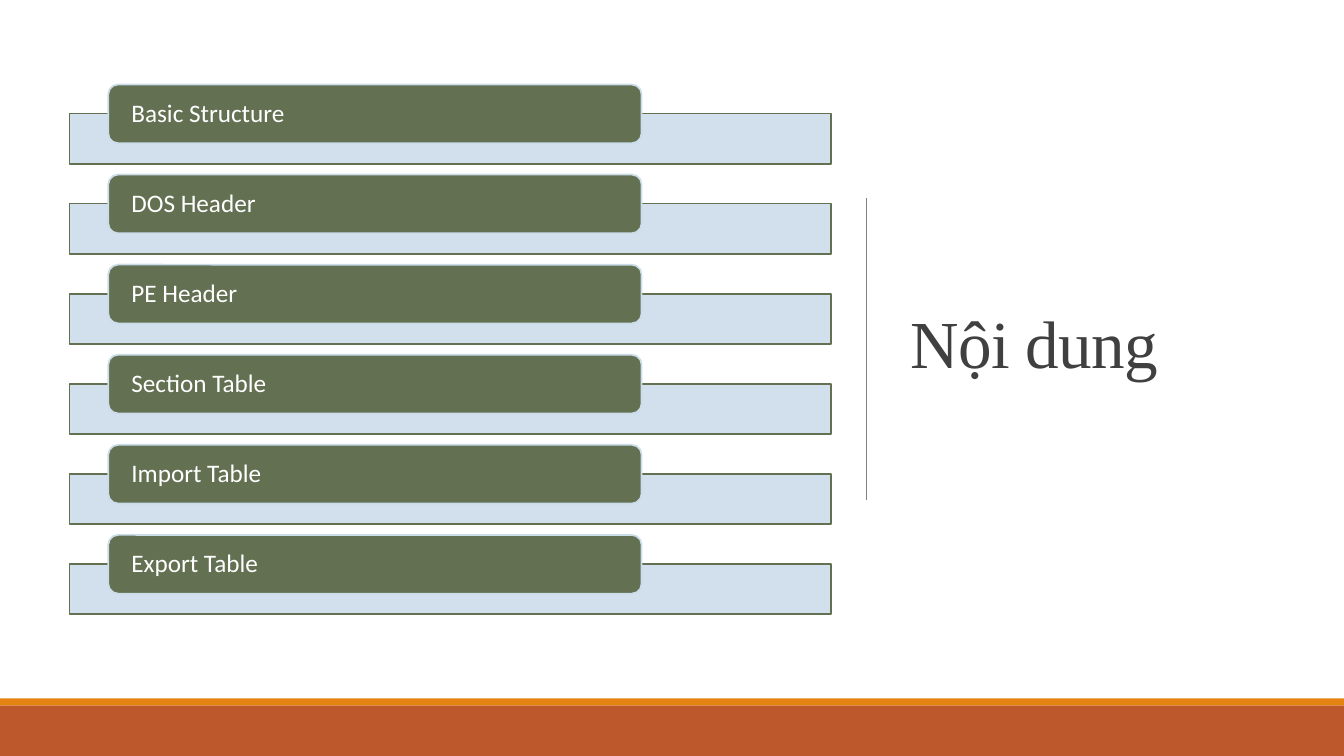
from dataclasses import dataclass

from lxml.etree import SubElement
from pptx import Presentation
from pptx.dml.color import RGBColor
from pptx.enum.shapes import MSO_CONNECTOR as Connector, MSO_SHAPE as Preset
from pptx.enum.text import MSO_ANCHOR as Anchor, PP_ALIGN as Align
from pptx.oxml.ns import qn
from pptx.util import Cm, Pt

TITLE = "Nội dung"
TOPICS = ["Basic Structure", "DOS Header", "PE Header",
          "Section Table", "Import Table", "Export Table"]


@dataclass(frozen=True)
class Theme:
    """Colours, fonts and type sizes of the slide."""
    orange: str = "E48312"
    rust: str = "BD582C"
    olive: str = "637052"
    pale_blue: str = "CCDDEA"
    grey: str = "808080"
    ink: str = "404040"
    white: str = "FFFFFF"
    title_font: str = "Times New Roman"
    topic_font: str = "Calibri"
    title_size: int = 48
    topic_size: int = 18
    outline: float = 1.25
    hairline: float = 0.5


THEME = Theme()

# Lengths in centimetres: left, top, width, height
SLIDE_WIDTH, SLIDE_HEIGHT = 33.87, 19.05
FOOTER_BANDS = [(17.6, 0.18, THEME.orange), (17.78, 1.27, THEME.rust)]
TITLE_BOX = (22.7, 1.75, 9.38, 14.05)
DIVIDER = (21.83, 4.98, 12.6)  # x, top, bottom
BAR = (1.75, 2.86, 19.2, 1.27)
LABEL = (2.73, 2.13, 13.44, 1.48)
TOPIC_PITCH = 2.27
LABEL_INSET = 0.51


def add_block(slide, preset, box, fill, line=None):
    """Add a filled preset shape, outlined only when a line colour is given."""
    shape = slide.shapes.add_shape(preset, *map(Cm, box))
    shape.shadow.inherit = False
    shape.fill.solid()
    shape.fill.fore_color.rgb = RGBColor.from_string(fill)
    if line:
        shape.line.color.rgb = RGBColor.from_string(line)
        shape.line.width = Pt(THEME.outline)
    else:
        shape.line.fill.background()
    return shape


def set_opacity(shape, percent):
    """Make the solid fill of a shape partly transparent."""
    color = shape.fill._xPr.find(qn("a:solidFill"))[0]
    SubElement(color, qn("a:alpha")).set("val", str(percent * 1000))


def write_text(shape, text, font, size, color, spacing):
    """Write one left-aligned, vertically centred line into a shape."""
    frame = shape.text_frame
    frame.word_wrap = True
    frame.vertical_anchor = Anchor.MIDDLE
    paragraph = frame.paragraphs[0]
    paragraph.alignment = Align.LEFT
    paragraph.line_spacing = spacing
    run = paragraph.add_run()
    run.text = text
    run.font.name = font
    run.font.size = Pt(size)
    run.font.color.rgb = RGBColor.from_string(color)
    return run


def add_title(slide):
    """Place and format the title placeholder."""
    title = slide.shapes.title
    title.left, title.top, title.width, title.height = map(Cm, TITLE_BOX)
    run = write_text(title, TITLE, THEME.title_font, THEME.title_size,
                     THEME.ink, 0.85)
    run.font._element.set("spc", "-50")


def add_divider(slide):
    """Draw the thin vertical line beside the title."""
    x, top, bottom = map(Cm, DIVIDER)
    line = slide.shapes.add_connector(Connector.STRAIGHT, x, top, x, bottom)
    line.line.color.rgb = RGBColor.from_string(THEME.grey)
    line.line.width = Pt(THEME.hairline)
    SubElement(line._element.spPr, qn("a:effectLst"))


def add_topic(slide, index, text):
    """Add one topic: a pale bar with a rounded label over its top edge."""
    def placed(box):
        left, top, width, height = box
        return left, top + index * TOPIC_PITCH, width, height

    bar = add_block(slide, Preset.RECTANGLE, placed(BAR),
                    THEME.pale_blue, THEME.olive)
    set_opacity(bar, 90)
    label = add_block(slide, Preset.ROUNDED_RECTANGLE, placed(LABEL),
                      THEME.olive, THEME.pale_blue)
    frame = label.text_frame
    frame.margin_left = frame.margin_right = Cm(LABEL_INSET)
    frame.margin_top = frame.margin_bottom = 0
    write_text(label, text, THEME.topic_font, THEME.topic_size,
               THEME.white, 0.9)


def build():
    """Build the slide and save it."""
    presentation = Presentation()
    presentation.slide_width = Cm(SLIDE_WIDTH)
    presentation.slide_height = Cm(SLIDE_HEIGHT)
    title_only = presentation.slide_layouts[5]
    slide = presentation.slides.add_slide(title_only)
    add_title(slide)
    add_divider(slide)
    for top, height, color in FOOTER_BANDS:
        add_block(slide, Preset.RECTANGLE, (0, top, SLIDE_WIDTH, height), color)
    for index, topic in enumerate(TOPICS):
        add_topic(slide, index, topic)
    presentation.save("out.pptx")


build()
